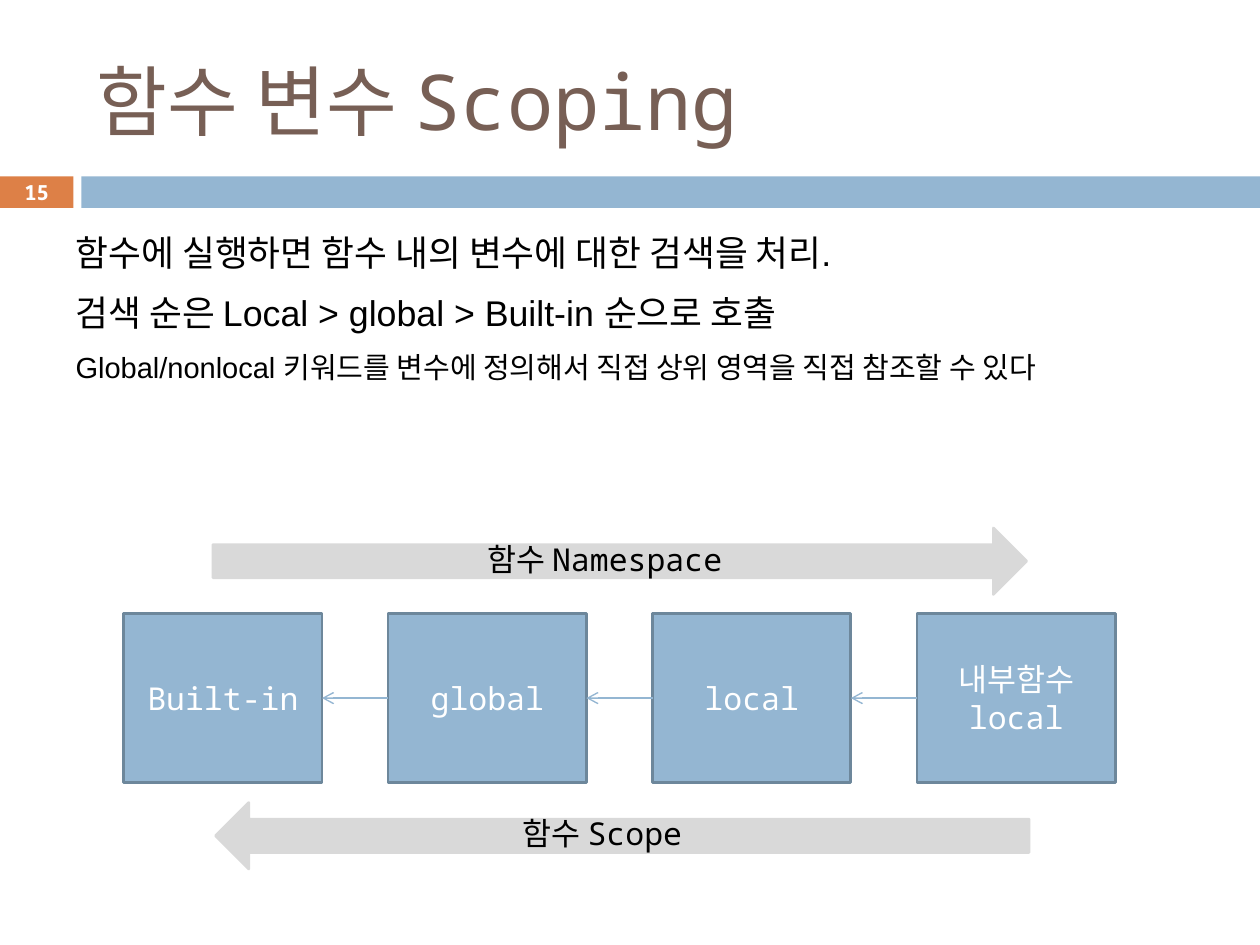
from lxml.etree import SubElement
from pptx import Presentation
from pptx.dml.color import RGBColor
from pptx.enum.shapes import MSO_CONNECTOR as Connector, MSO_SHAPE as Shape
from pptx.enum.text import MSO_ANCHOR as Anchor, MSO_AUTO_SIZE as AutoSize, PP_ALIGN as Align
from pptx.oxml.ns import qn
from pptx.util import Pt

MONO = "Noto Sans Mono"
BLUE, GRAY = "94B6D2", "D9D9D9"

deck = Presentation()
deck.slide_width, deck.slide_height = Pt(720), Pt(540)
page = deck.slides.add_slide(deck.slide_layouts[1])
shapes = page.shapes


def add_block(kind, left, top, width, height, fill, line=None):
    block = shapes.add_shape(kind, Pt(left), Pt(top), Pt(width), Pt(height))
    block.shadow.inherit = False
    block.fill.solid()
    block.fill.fore_color.rgb = RGBColor.from_string(fill)
    if line:
        block.line.color.rgb = RGBColor.from_string(line)
        block.line.width = Pt(1.5)
    else:
        block.line.fill.background()
    return block


def write(shape, text, size, color, font=MONO, align=Align.CENTER, anchor=Anchor.MIDDLE):
    frame = shape.text_frame
    frame.text = text
    frame.word_wrap = True
    frame.auto_size = AutoSize.NONE
    frame.vertical_anchor = anchor
    for para in frame.paragraphs:
        para.alignment = align
        para.font.name = font
        para.font.size = Pt(size)
        para.font.color.rgb = RGBColor.from_string(color)
    return frame


number_block = add_block(Shape.RECTANGLE, 0, 100.8, 42, 18, "DD8047")
number = write(number_block, "15", 11.9, "FFFFFF")
number.paragraphs[0].font.bold = True
add_block(Shape.RECTANGLE, 46.5, 100.8, 673.5, 18, BLUE)

title = shapes.title
title.left, title.top, title.width, title.height = Pt(48), Pt(18), Pt(642), Pt(78)
write(title, "함수 변수 Scoping", 44, "775F55", align=Align.LEFT)

body = page.placeholders[1]
body.left, body.top, body.width, body.height = Pt(36), Pt(126), Pt(648), Pt(98.5)
lines = [
    "함수에 실행하면 함수 내의 변수에 대한 검색을 처리.",
    "검색 순은 Local > global > Built-in 순으로 호출",
    "Global/nonlocal 키워드를 변수에 정의해서 직접 상위 영역을 직접 참조할 수 있다",
]
frame = write(body, "\n".join(lines), 20.4, "000000", "Arial", Align.LEFT, Anchor.TOP)
for para in frame.paragraphs:
    para.line_spacing = 1.1
    para.space_before = Pt(7)
    properties = para._p.get_or_add_pPr()
    properties.set("marL", "0")
    properties.set("indent", "0")
    properties.insert_element_before(
        properties.makeelement(qn("a:buNone")), "a:tabLst", "a:defRPr", "a:extLst")
frame.paragraphs[-1].font.size = Pt(16.6)

arrows = [
    ("함수 Namespace", 121.7, 301.7, 0, 218, 305.3, 255),
    ("함수 Scope", 123.1, 458.6, 180, 265, 461.5, 158.4),
]
for text, left, top, rotation, label_left, label_top, label_width in arrows:
    arrow = add_block(Shape.RIGHT_ARROW, left, top, 465, 38, GRAY, GRAY)
    arrow.rotation = rotation
    label = shapes.add_textbox(Pt(label_left), Pt(label_top), Pt(label_width), Pt(29))
    write(label, text, 18, "000000", anchor=Anchor.TOP)

scopes = []
for index, text in enumerate(["Built-in", "global", "local", "내부함수\nlocal"]):
    box = add_block(Shape.RECTANGLE, 70.7 + index * 151.1, 350.7, 113.3, 96.4, BLUE, "6D879B")
    write(box, text, 18, "FFFFFF")
    scopes.append(box)

for outer, inner in zip(scopes, scopes[1:]):
    link = shapes.add_connector(Connector.STRAIGHT, 0, 0, 0, 0)
    link.begin_connect(inner, 1)
    link.end_connect(outer, 3)
    link.line.color.rgb = RGBColor.from_string(BLUE)
    link.line.width = Pt(0.79)
    SubElement(link.line._get_or_add_ln(), qn("a:tailEnd"), type="arrow")
    SubElement(link._element.spPr, qn("a:effectLst"))

deck.save("out.pptx")
